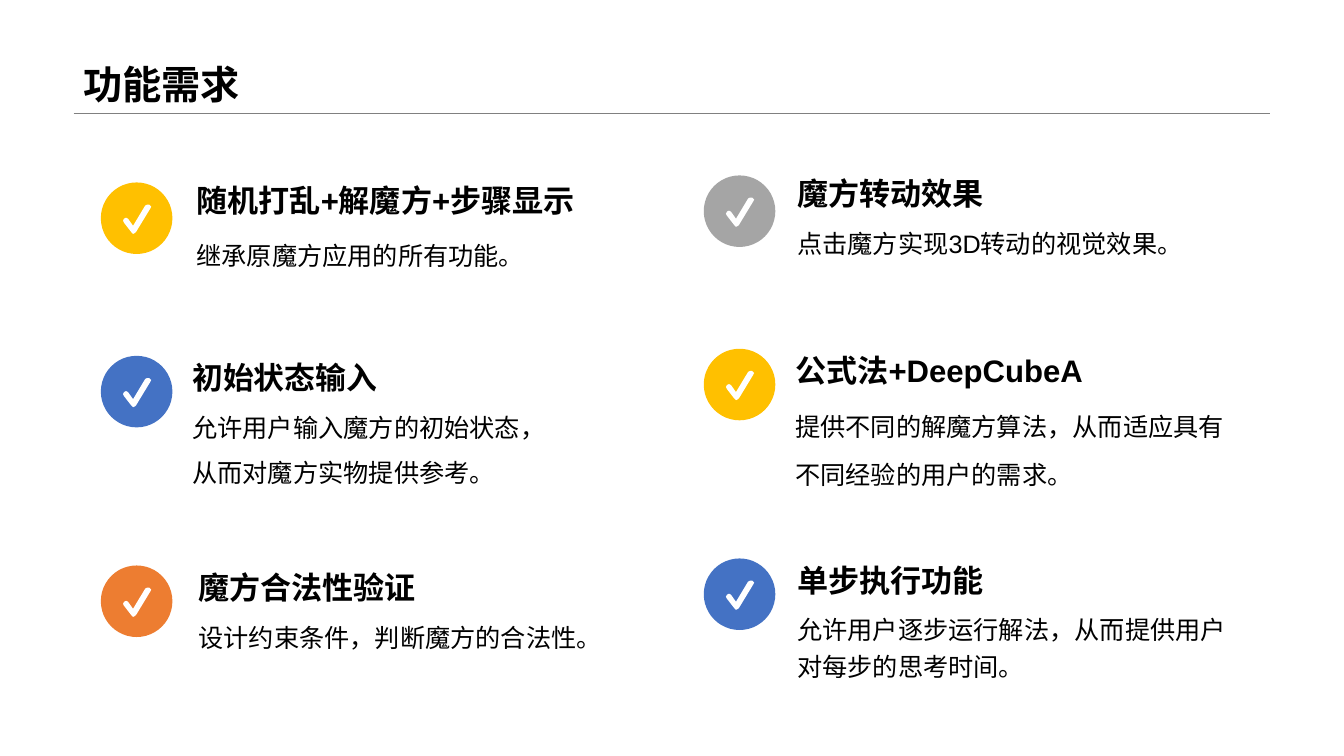
from dataclasses import dataclass

from pptx import Presentation
from pptx.dml.color import RGBColor
from pptx.enum.shapes import MSO_CONNECTOR, MSO_SHAPE
from pptx.enum.text import MSO_ANCHOR
from pptx.oxml.ns import qn
from pptx.util import Inches, Pt
from lxml.etree import SubElement

BLACK = RGBColor(0x00, 0x00, 0x00)
WHITE = RGBColor(0xFF, 0xFF, 0xFF)
RULE_GRAY = RGBColor(0x80, 0x80, 0x80)
GOLD = RGBColor(0xFF, 0xC0, 0x00)
BLUE = RGBColor(0x44, 0x72, 0xC4)
ORANGE = RGBColor(0xED, 0x7D, 0x31)
GRAY = RGBColor(0xA5, 0xA5, 0xA5)

FONT = "Arial"
MARGIN, CONTENT_WIDTH, RULE_TOP = 0.73, 11.87, 1.12
COLUMNS = (1, 6.98)
ROWS = (1.81, 3.53, 5.61)
RIGHT_COLUMN_RISE = 0.07
BADGE_SIZE = 0.71
TICK_OUTLINE = (
    (0.32, 0.51), (0.3, 0.49), (0.23, 0.4), (0.22, 0.38), (0.23, 0.36),
    (0.25, 0.35), (0.27, 0.36), (0.32, 0.43), (0.44, 0.23), (0.46, 0.22),
    (0.48, 0.22), (0.5, 0.24), (0.49, 0.26), (0.35, 0.49), (0.34, 0.5),
)


@dataclass
class Feature:
    """One requirement; indent and tops are measured from its badge."""
    column: int
    row: int
    color: RGBColor
    heading: str
    body: str
    indent: float
    heading_top: float
    body_top: float
    body_width: float
    body_height: float
    line_spacing: float = 1.2
    heading_width: float = 3.97
    heading_height: float = 0.45
    heading_size: float = 22.2


FEATURES = (
    Feature(0, 0, GOLD, "随机打乱+解魔方+步骤显示", "继承原魔方应用的所有功能。",
            0.85, -0.04, 0.35, 3.41, 0.66, 1.6, heading_width=4.4),
    Feature(0, 1, BLUE, "初始状态输入",
            "允许用户输入魔方的初始状态，从而对魔方实物提供参考。",
            0.81, -0.08, 0.36, 3.67, 1.08, 1.5, 2.3, 0.52, 22),
    Feature(0, 2, ORANGE, "魔方合法性验证", "设计约束条件，判断魔方的合法性。",
            0.87, 0, 0.45, 3.97, 0.45),
    Feature(1, 0, GRAY, "魔方转动效果", "点击魔方实现3D转动的视觉效果。",
            0.83, -0.04, 0.42, 3.97, 0.45),
    Feature(1, 1, GOLD, "公式法+DeepCubeA",
            "提供不同的解魔方算法，从而适应具有不同经验的用户的需求。",
            0.81, 0, 0.39, 4.63, 1.34, 1.6),
    Feature(1, 2, BLUE, "单步执行功能",
            "允许用户逐步运行解法，从而提供用户对每步的思考时间。",
            0.83, 0, 0.45, 4.63, 0.96),
)


def add_text(slide, text, left, top, width, height, size, bold=False,
             anchor=MSO_ANCHOR.TOP, wrap=True, line_spacing=1.0):
    box = slide.shapes.add_textbox(
        Inches(left), Inches(top), Inches(width), Inches(height))
    frame = box.text_frame
    frame.word_wrap = wrap
    frame.vertical_anchor = anchor
    paragraph = frame.paragraphs[0]
    paragraph.text = text
    paragraph.line_spacing = line_spacing
    font = paragraph.font
    font.name, font.size, font.bold = FONT, Pt(size), bold
    font.color.rgb = BLACK


def fill_plain(shape, color):
    """Give the shape a solid fill without line or shadow."""
    shape.shadow.inherit = False
    shape.fill.solid()
    shape.fill.fore_color.rgb = color
    shape.line.fill.background()


def add_title(slide, text):
    add_text(slide, text, MARGIN, 0, CONTENT_WIDTH, RULE_TOP, 28, bold=True,
             anchor=MSO_ANCHOR.BOTTOM, line_spacing=0.9)
    rule = slide.shapes.add_connector(
        MSO_CONNECTOR.STRAIGHT, Inches(MARGIN), Inches(RULE_TOP),
        Inches(MARGIN + CONTENT_WIDTH), Inches(RULE_TOP))
    rule.line.color.rgb = RULE_GRAY
    rule.line.width = Pt(0.25)
    SubElement(rule._element.spPr, qn("a:effectLst"))


def add_badge(slide, left, top, color):
    """Draw a coloured disc with a white tick."""
    disc = slide.shapes.add_shape(
        MSO_SHAPE.OVAL, Inches(left), Inches(top),
        Inches(BADGE_SIZE), Inches(BADGE_SIZE))
    fill_plain(disc, color)
    points = [(Inches(left + x), Inches(top + y)) for x, y in TICK_OUTLINE]
    builder = slide.shapes.build_freeform(*points[0])
    builder.add_line_segments(points[1:], close=True)
    fill_plain(builder.convert_to_shape(), WHITE)


def add_feature(slide, feature):
    left = COLUMNS[feature.column]
    top = ROWS[feature.row] - feature.column * RIGHT_COLUMN_RISE
    text_left = left + feature.indent
    add_badge(slide, left, top, feature.color)
    add_text(slide, feature.heading, text_left, top + feature.heading_top,
             feature.heading_width, feature.heading_height,
             feature.heading_size, bold=True, anchor=MSO_ANCHOR.BOTTOM,
             wrap=False)
    add_text(slide, feature.body, text_left, top + feature.body_top,
             feature.body_width, feature.body_height, 18,
             line_spacing=feature.line_spacing)


def main():
    presentation = Presentation()
    presentation.slide_width = Inches(13.33)
    presentation.slide_height = Inches(7.5)
    slide = presentation.slides.add_slide(presentation.slide_layouts[6])
    add_title(slide, "功能需求")
    for feature in FEATURES:
        add_feature(slide, feature)
    presentation.save("out.pptx")


if __name__ == "__main__":
    main()
